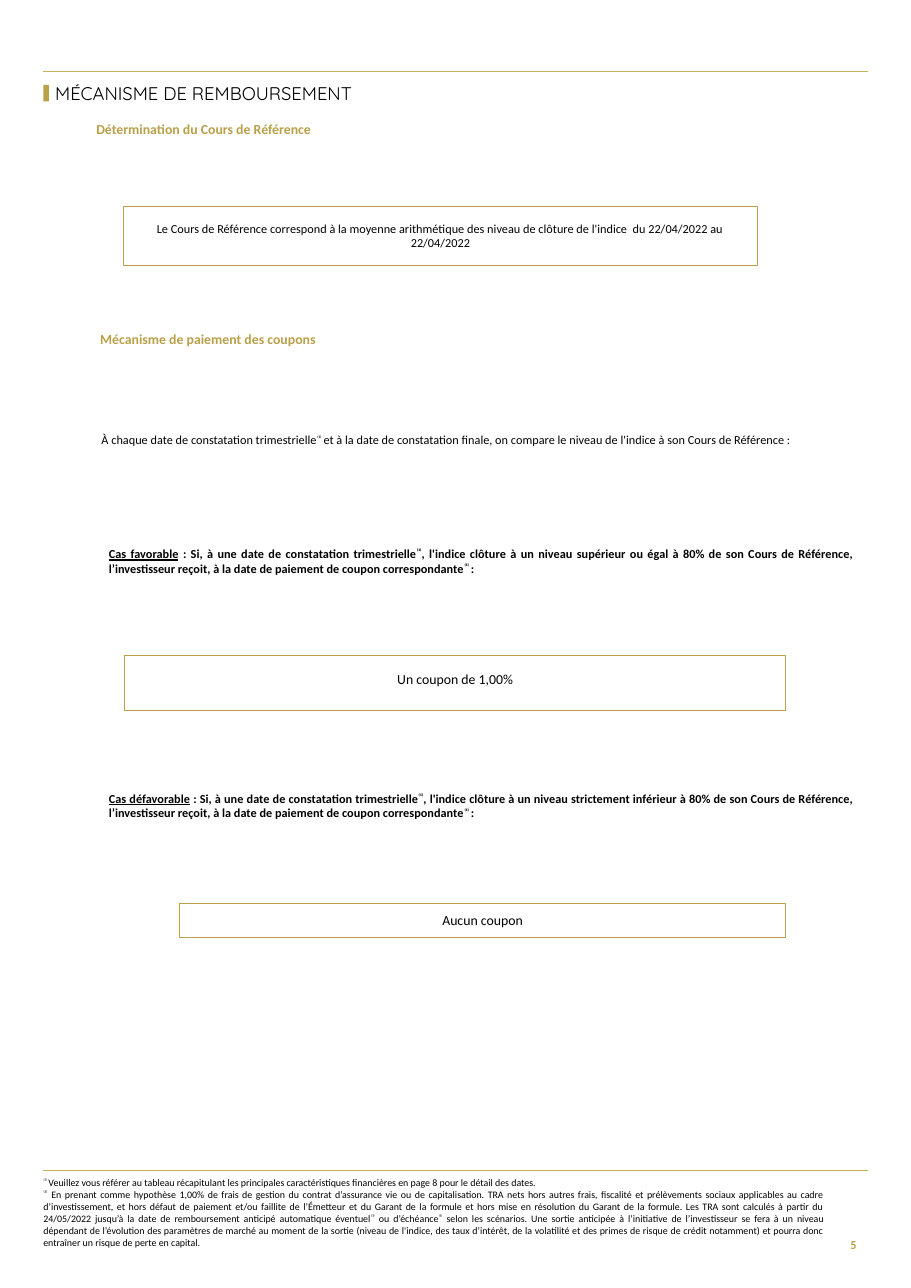
from pptx import Presentation
from pptx.dml.color import RGBColor
from pptx.enum.shapes import MSO_CONNECTOR, MSO_SHAPE
from pptx.enum.text import MSO_ANCHOR, MSO_AUTO_SIZE, PP_ALIGN
from pptx.oxml.ns import qn
from pptx.util import Cm, Pt
from lxml import etree

LEFT, CENTER, RIGHT, JUSTIFY = (
    PP_ALIGN.LEFT, PP_ALIGN.CENTER, PP_ALIGN.RIGHT, PP_ALIGN.JUSTIFY)
TOP, MIDDLE = MSO_ANCHOR.TOP, MSO_ANCHOR.MIDDLE
RECTANGLE, STRAIGHT = MSO_SHAPE.RECTANGLE, MSO_CONNECTOR.STRAIGHT
FIXED_SIZE = MSO_AUTO_SIZE.NONE

GOLD, PALE_GOLD, BLACK, WHITE = "B9A049", "C5AF5C", "000000", "FFFFFF"
PAGE_WIDTH, PAGE_HEIGHT, MARGIN = 21, 29.7, 1
CONTENT_WIDTH = PAGE_WIDTH - 2 * MARGIN

DATES_NOTE = (
    "^⁽¹⁾ ^Veuillez vous référer au tableau récapitulant les principales "
    "caractéristiques financières en page 8 pour le détail des dates.")
RETURN_NOTE = [
    "^⁽²⁾^ En prenant comme hypothèse 1,00% de frais de gestion du contrat "
    "d’assurance vie ou de capitalisation. TRA nets hors autres frais, fiscalité et "
    "prélèvements sociaux applicables au cadre d’investissement, et hors défaut de "
    "paiement et/ou faillite de l’Émetteur et du Garant de la formule et hors mise en "
    "résolution du Garant de la formule.",
    "Les TRA sont calculés à partir du 24/05/2022 jusqu’à la date de remboursement "
    "anticipé automatique éventuel^⁽¹⁾^ ou d’échéance^⁽¹⁾^ selon les scénarios.",
    "Une sortie anticipée à l’initiative de l’investisseur se fera à un niveau "
    "dépendant de l’évolution des paramètres de marché au moment de la sortie (niveau "
    "de l'indice, des taux d’intérêt, de la volatilité et des primes de risque de "
    "crédit notamment) et pourra donc entraîner un risque de perte en capital.",
]


def color(value):
    return RGBColor.from_string(value)


def add_span(para, text, size, font="Calibri", tint=BLACK, bold=False,
             underline=False, raised=False):
    span = para.add_run()
    span.text = text
    span.font.size = Pt(size)
    span.font.name = font
    span.font.color.rgb = color(tint)
    span.font.bold = bold
    span.font.underline = underline
    if raised:
        span.font._element.set("baseline", "30000")


def write(box, *texts, lead="", align=JUSTIFY, anchor=TOP, insets=(0, 0, 0, 0),
          spacing=None, size=8, **style):
    """Fill a box, one paragraph per text; text between carets is raised."""
    frame = box.text_frame
    frame.word_wrap = True
    frame.auto_size = FIXED_SIZE
    frame.vertical_anchor = anchor
    (frame.margin_left, frame.margin_top,
     frame.margin_right, frame.margin_bottom) = map(Cm, insets)
    for index, text in enumerate(texts):
        para = frame.add_paragraph() if index else frame.paragraphs[0]
        para.alignment = align
        if spacing:
            para.line_spacing = spacing
        if lead:
            add_span(para, lead, size, underline=True, **style)
        for position, part in enumerate(text.split("^")):
            if part:
                add_span(para, part, size, raised=position % 2 == 1, **style)


def add_text(page, area, *texts, **style):
    write(page.shapes.add_textbox(*map(Cm, area)), *texts, **style)


def add_rectangle(page, area, fill=None, line=None, weight=0.75):
    box = page.shapes.add_shape(RECTANGLE, *map(Cm, area))
    box.shadow.inherit = False
    if fill:
        box.fill.solid()
        box.fill.fore_color.rgb = color(fill)
    else:
        box.fill.background()
    if line:
        box.line.color.rgb = color(line)
        box.line.width = Pt(weight)
    else:
        box.line.fill.background()
    return box


def add_rule(page, left, top, width):
    rule = page.shapes.add_connector(
        STRAIGHT, Cm(left), Cm(top), Cm(left + width), Cm(top))
    rule.line.color.rgb = color(PALE_GOLD)
    rule.line.width = Pt(0.75)
    etree.SubElement(rule._element.spPr, qn("a:effectLst"))


def add_header(page, left, top, width):
    add_rule(page, left, top, width)
    add_rectangle(page, (left, top + 0.32, 0.13, 0.38), fill=GOLD)
    title = page.shapes.title
    title.left, title.top, title.width, title.height = map(
        Cm, (left + 0.27, top + 0.21, 10.7, 0.64))
    write(title, "MÉCANISME DE REMBOURSEMENT", align=LEFT, anchor=MIDDLE,
          spacing=0.9, size=12, font="Quicksand")


def add_heading(page, left, top, text):
    add_text(page, (left, top, 12, 0.45), text, align=LEFT, size=9, tint=GOLD, bold=True)


def add_reference_price(page, left, top):
    add_heading(page, left, top, "Détermination du Cours de Référence")
    box = add_rectangle(page, (left + 0.62, top + 1.96, 14.63, 1.37),
                        line=GOLD, weight=0.5)
    write(box, "Le Cours de Référence correspond à la moyenne arithmétique des niveau de "
          "clôture de l'indice  du 22/04/2022 au 22/04/2022",
          align=CENTER, anchor=MIDDLE, insets=(0.3, 0.2, 0.3, 0.2))


def add_case(page, left, top, name, level, outcome, outcome_area, insets):
    """Place a condition and its boxed outcome, offset from the condition."""
    add_text(page, (left, top, 17.17, 0.69),
             " : Si, à une date de constatation trimestrielle^⁽¹⁾^, l'indice clôture à un "
             f"niveau {level} à 80% de son Cours de Référence, l’investisseur reçoit, à la "
             "date de paiement de coupon correspondante^⁽¹⁾ ^:",
             lead=name, bold=True)
    across, down, width, height = outcome_area
    box = add_rectangle(page, (left + across, top + down, width, height),
                        fill=WHITE, line=GOLD)
    write(box, outcome, align=CENTER, anchor=MIDDLE, insets=insets, size=9)


def add_coupons(page, left, top):
    add_heading(page, left, top, "Mécanisme de paiement des coupons")
    add_text(page, (left + 0.03, top + 2.36, 16.69, 0.33),
             "À chaque date de constatation trimestrielle^⁽¹⁾ ^et à la date de constatation "
             "finale, on compare le niveau de l'indice à son Cours de Référence :")
    add_case(page, left + 0.2, top + 4.98, "Cas favorable", "supérieur ou égal",
             "Un coupon de 1,00%", (0.36, 2.51, 15.24, 1.27), (0.3, 0.38, 0.3, 0.56))
    add_case(page, left + 0.2, top + 10.62, "Cas défavorable", "strictement inférieur",
             "Aucun coupon", (1.63, 2.59, 13.97, 0.79), (0.3, 0.2, 0.3, 0.2))


def add_footer(page, left, top, width):
    add_rule(page, left, top, width)
    add_text(page, (left, top + 0.14, 18.01, 1.68),
             DATES_NOTE, " ".join(RETURN_NOTE), size=6.5)
    add_text(page, (left + width - 1, top + 1.18, 1, 1.07), "5", align=RIGHT,
             anchor=MIDDLE, insets=(0.25, 0.13, 0.25, 0.13), tint=GOLD, bold=True)


def main():
    deck = Presentation()
    deck.slide_width, deck.slide_height = Cm(PAGE_WIDTH), Cm(PAGE_HEIGHT)
    page = deck.slides.add_slide(deck.slide_layouts[5])
    add_header(page, MARGIN, 1.64, CONTENT_WIDTH)
    add_reference_price(page, 2.22, 2.79)
    add_coupons(page, 2.31, 7.62)
    add_footer(page, MARGIN, 26.99, CONTENT_WIDTH)
    deck.save("out.pptx")


if __name__ == "__main__":
    main()
